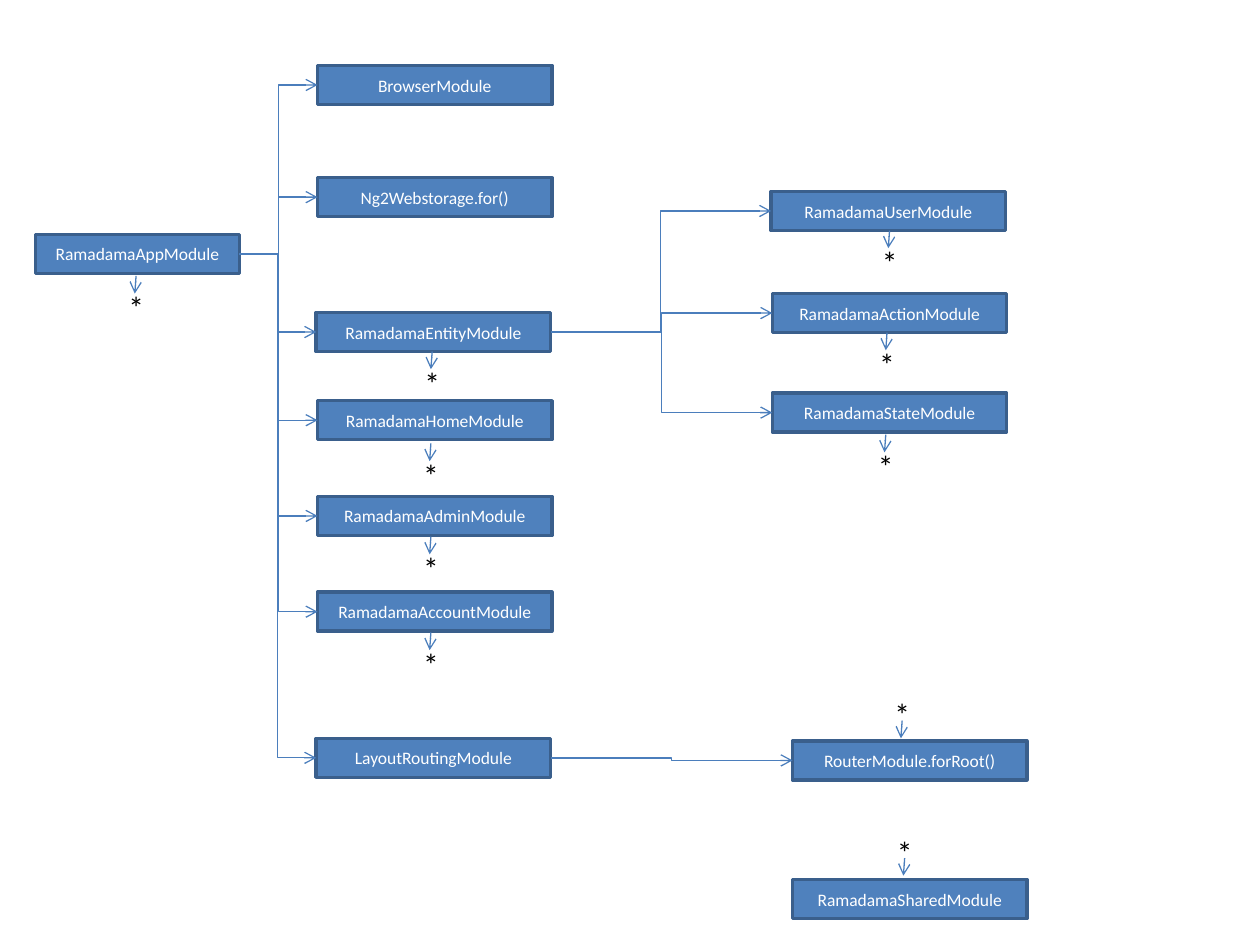
from lxml.etree import SubElement
from pptx import Presentation
from pptx.dml.color import RGBColor
from pptx.enum.shapes import MSO_CONNECTOR as Link, MSO_SHAPE as Shape
from pptx.enum.text import MSO_ANCHOR as Anchor, MSO_AUTO_SIZE as AutoSize, PP_ALIGN as Align
from pptx.oxml.ns import qn
from pptx.util import Inches, Pt

MODULE_HEIGHT = 0.31
APP_WIDTH = 1.62
MODULE_WIDTH = 1.86

APP = "RamadamaAppModule"
ENTITY = "RamadamaEntityModule"
ROUTING = "LayoutRoutingModule"
ROUTER = "RouterModule.forRoot()"

APP_IMPORTS = {
    "BrowserModule": (2.52, 0.52),
    "Ng2Webstorage.for()": (2.52, 1.41),
    ENTITY: (2.51, 2.48),
    "RamadamaHomeModule": (2.52, 3.18),
    "RamadamaAdminModule": (2.52, 3.94),
    "RamadamaAccountModule": (2.52, 4.7),
    ROUTING: (2.51, 5.86),
}
ENTITY_IMPORTS = {
    "RamadamaUserModule": (6.12, 1.52),
    "RamadamaActionModule": (6.13, 2.33),
    "RamadamaStateModule": (6.13, 3.12),
}
SHARED_MODULES = {
    ROUTER: (6.29, 5.88),
    "RamadamaSharedModule": (6.29, 6.98),
}
STARS_BELOW = [
    (0.92, 2.24), (3.27, 2.84), (3.26, 3.57), (3.26, 4.31), (3.26, 5.07),
    (6.9, 1.88), (6.88, 2.69), (6.87, 3.5),
]
STARS_ABOVE = [(7, 5.47), (7.02, 6.56)]


def color(hex_value):
    return RGBColor.from_string(hex_value)


def format_text(frame, size, hex_value):
    font = frame.paragraphs[0].runs[0].font
    font.name = "Calibri"
    font.size = Pt(size)
    font.color.rgb = color(hex_value)


def add_module(shapes, name, left, top, width=MODULE_WIDTH):
    module = shapes.add_shape(Shape.RECTANGLE, Inches(left), Inches(top),
                              Inches(width), Inches(MODULE_HEIGHT))
    module.shadow.inherit = False
    module.fill.solid()
    module.fill.fore_color.rgb = color("4F81BD")
    module.line.color.rgb = color("3A5F8C")
    module.line.width = Pt(2)
    frame = module.text_frame
    frame.text = name
    frame.vertical_anchor = Anchor.MIDDLE
    frame.paragraphs[0].alignment = Align.CENTER
    format_text(frame, 10, "FFFFFF")
    return module


def add_arrow(shapes, kind, start=(0, 0), end=(0, 0)):
    arrow = shapes.add_connector(kind, *map(Inches, start + end))
    arrow.line.color.rgb = color("4B7EBC")
    arrow.line.width = Pt(0.75)
    properties = arrow.line._get_or_add_ln()
    SubElement(properties, qn("a:tailEnd"), type="arrow")
    SubElement(arrow._element.spPr, qn("a:effectLst"))
    return arrow


def add_import(shapes, importer, imported):
    arrow = add_arrow(shapes, Link.ELBOW)
    arrow.begin_connect(importer, 3)
    arrow.end_connect(imported, 1)


def add_star(shapes, left, top, arrow_offset):
    marker = shapes.add_group_shape().shapes
    start = (left + 0.16, top + arrow_offset)
    add_arrow(marker, Link.STRAIGHT, start, (start[0] - 0.01, start[1] + 0.14))
    star = marker.add_textbox(Inches(left), Inches(top), Inches(0.33), Inches(0.4))
    frame = star.text_frame
    frame.text = "*"
    frame.word_wrap = False
    frame.auto_size = AutoSize.SHAPE_TO_FIT_TEXT
    format_text(frame, 18, "000000")


def main():
    deck = Presentation()
    deck.slide_width, deck.slide_height = Inches(10), Inches(7.5)
    shapes = deck.slides.add_slide(deck.slide_layouts[6]).shapes

    modules = {APP: add_module(shapes, APP, 0.28, 1.86, APP_WIDTH)}
    for column in (APP_IMPORTS, ENTITY_IMPORTS, SHARED_MODULES):
        for name, (left, top) in column.items():
            modules[name] = add_module(shapes, name, left, top)

    for importer, imports in ((APP, APP_IMPORTS), (ENTITY, ENTITY_IMPORTS), (ROUTING, [ROUTER])):
        for imported in imports:
            add_import(shapes, modules[importer], modules[imported])

    for stars, arrow_offset in ((STARS_BELOW, -0.05), (STARS_ABOVE, 0.25)):
        for left, top in stars:
            add_star(shapes, left, top, arrow_offset)

    deck.save("out.pptx")


if __name__ == "__main__":
    main()
